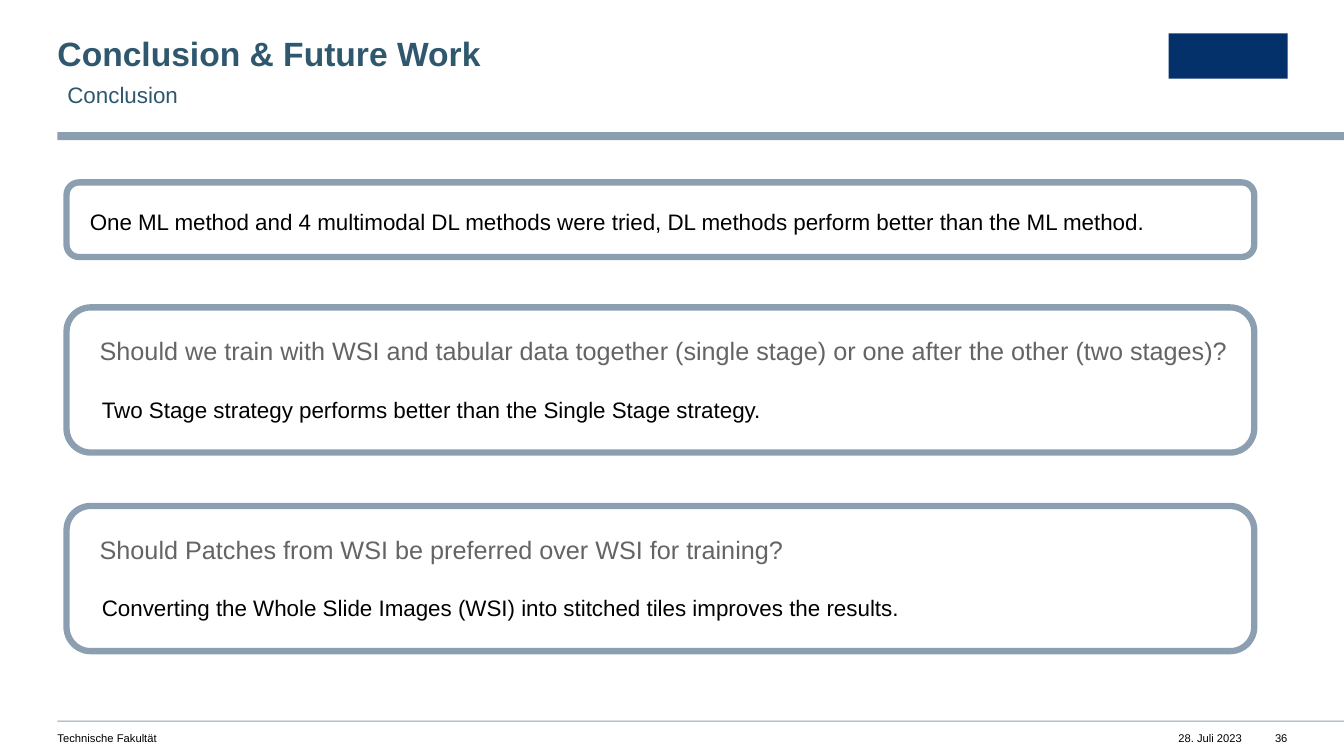
from pptx import Presentation
from pptx.dml.color import RGBColor
from pptx.enum.shapes import MSO_SHAPE as Shape
from pptx.enum.text import MSO_ANCHOR as Anchor, PP_ALIGN as Align
from pptx.util import Inches, Pt

STEEL, TEAL, NAVY = "8C9FB1", "2F586E", "04316A"
GRAY, BLACK = "646464", "000000"
EDGE, RIGHT, WIDE = 0.57, 12.77, 13.33


def color(code):
    return RGBColor.from_string(code)


def add_text(slide, box, text, size=16, ink=BLACK, bold=False,
             align=Align.LEFT, wrap=True, inset=(0, 0), line=None, after=0):
    """Place one paragraph; inset is (side, top) in inches."""
    frame = slide.shapes.add_textbox(*map(Inches, box)).text_frame
    frame.word_wrap = wrap
    frame.vertical_anchor = Anchor.TOP
    frame.margin_left = frame.margin_right = Inches(inset[0])
    frame.margin_top = frame.margin_bottom = Inches(inset[1])
    para = frame.paragraphs[0]
    para.text = text
    para.alignment = align
    para.line_spacing = line
    para.space_after = Pt(after)
    font = para.font
    font.name, font.size, font.bold = "Arial", Pt(size), bold
    font.color.rgb = color(ink)


def add_shape(slide, box, kind=Shape.RECTANGLE, fill=None, edge=None):
    shape = slide.shapes.add_shape(kind, *map(Inches, box))
    shape.shadow.inherit = False
    if fill:
        shape.fill.solid()
        shape.fill.fore_color.rgb = color(fill)
    else:
        shape.fill.background()
    if edge:
        shape.line.color.rgb = color(edge)
        shape.line.width = Pt(4.5)
    else:
        shape.line.fill.background()


def add_head(slide, left, top, title, topic):
    add_text(slide, (left, top, 7.49, 0.36), title, size=24, ink=TEAL,
             bold=True, line=0.9)
    add_text(slide, (left, top + 0.36, 6.9, 0.37), topic, ink=TEAL,
             inset=(0.1, 0.05), line=1.1, after=12)
    add_shape(slide, (RIGHT - 1.18, top - 0.04, 1.18, 0.45), fill=NAVY)
    add_shape(slide, (left, top + 0.94, WIDE - left, 0.08), fill=STEEL)


def add_foot(slide, left, top, unit, date, page):
    add_shape(slide, (left, top, WIDE - left, 0.01), fill=STEEL)
    row = top + 0.11
    add_text(slide, (left, row, 5.98, 0.13), unit, size=8)
    for end, width, text in ((12.32, 0.93, date), (RIGHT, 0.21, page)):
        add_text(slide, (end - width, row, width, 0.13), text, size=8,
                 align=Align.RIGHT, wrap=False)


def add_card(slide, box, answer, ask=None):
    """Draw a rounded frame with an answer, under a question if given."""
    left, top, width, _ = box
    add_shape(slide, box, Shape.ROUNDED_RECTANGLE, edge=STEEL)
    if ask:
        add_text(slide, (left + 0.23, top + 0.23, width - 0.23, 0.4), ask,
                 size=18, ink=GRAY, inset=(0.1, 0.05))
    shift, drop = (0.35, 0.85) if ask else (0.23, 0.23)
    add_text(slide, (left + shift, top + drop, width - 2 * shift, 0.27),
             answer, wrap=False, line=1.1, after=12)


def main():
    deck = Presentation()
    deck.slide_width, deck.slide_height = Inches(WIDE), Inches(7.5)
    slide = deck.slides.add_slide(deck.slide_layouts[6])
    add_head(slide, EDGE, 0.37, "Conclusion & Future Work", "Conclusion")
    cards = (
        (1.81, 0.74, "One ML method and 4 multimodal DL methods were tried, "
         "DL methods perform better than the ML method.", None),
        (3.05, 1.44,
         "Two Stage strategy performs better than the Single Stage strategy.",
         "Should we train with WSI and tabular data together (single stage) "
         "or one after the other (two stages)?"),
        (5.02, 1.44, "Converting the Whole Slide Images (WSI) into stitched "
         "tiles improves the results.",
         "Should Patches from WSI be preferred over WSI for training?"),
    )
    for top, height, answer, ask in cards:
        add_card(slide, (0.66, top, 11.78, height), answer, ask)
    add_foot(slide, EDGE, 7.15, "Technische Fakultät", "28. Juli 2023", "36")
    deck.save("out.pptx")


if __name__ == "__main__":
    main()
